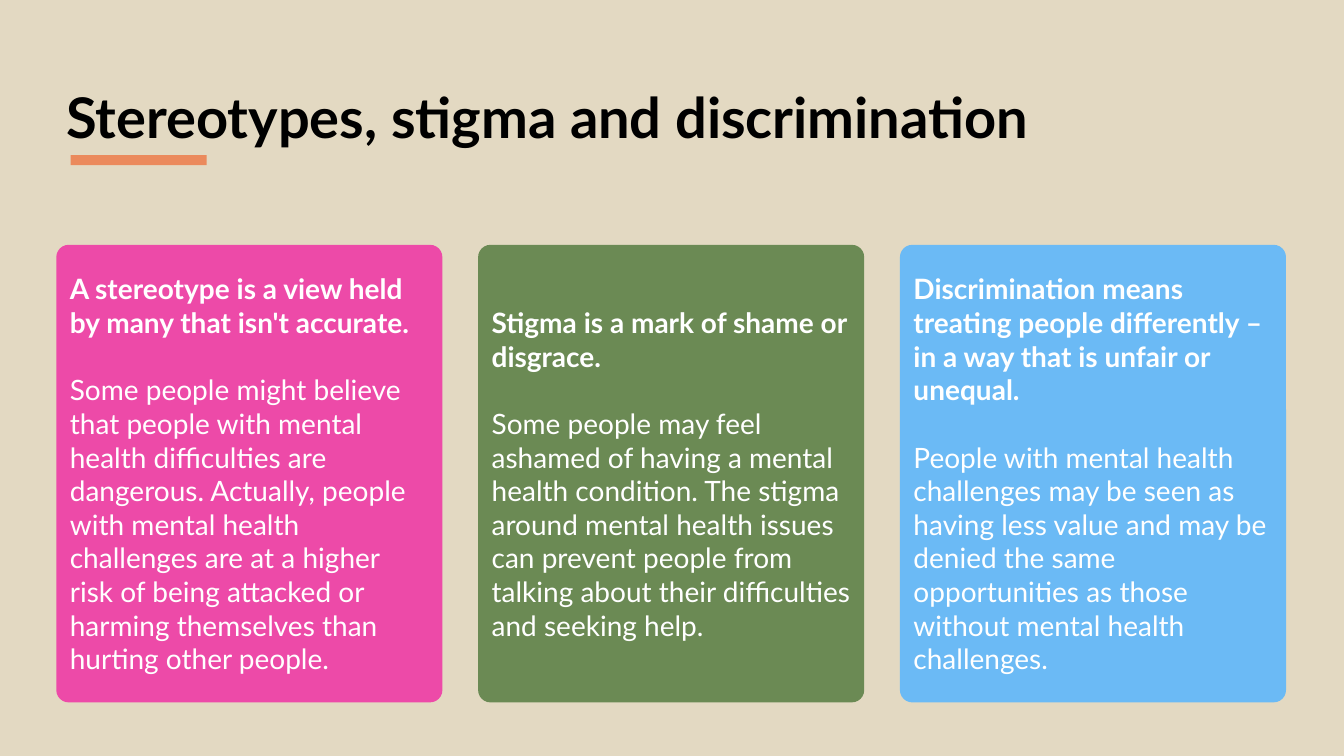
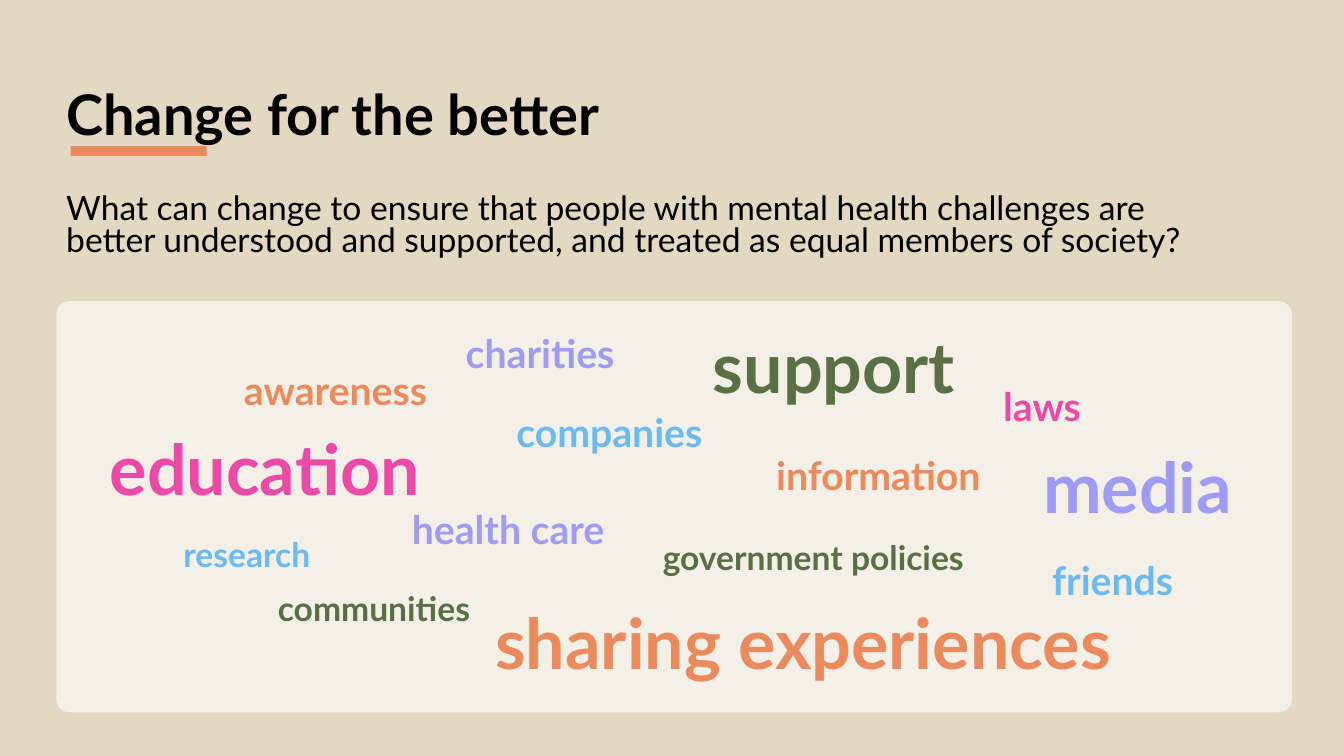
from dataclasses import dataclass

from pptx import Presentation
from pptx.dml.color import RGBColor
from pptx.enum.shapes import MSO_SHAPE
from pptx.enum.text import MSO_ANCHOR, MSO_AUTO_SIZE, PP_ALIGN
from pptx.oxml.xmlchemy import OxmlElement
from pptx.util import Cm, Pt


@dataclass(frozen=True)
class Theme:
    font: str = "Lato"
    sand: str = "E3D9C2"
    black: str = "000000"
    white: str = "FFFFFF"
    orange: str = "EB8A5C"
    pink: str = "ED4AA8"
    green: str = "6B8A54"
    forest: str = "597045"
    blue: str = "6BBAF5"
    lilac: str = "9E9CF5"
    title: int = 40
    card: int = 20
    body: int = 24
    small: int = 24
    medium: int = 28
    large: int = 50


theme = Theme()


def write(frame, text, *, size, color, bold=False, align=PP_ALIGN.LEFT,
          anchor=MSO_ANCHOR.TOP, spacing=1.0, before=0):
    frame.word_wrap = True
    frame.auto_size = MSO_AUTO_SIZE.NONE
    frame.vertical_anchor = anchor
    paragraph = frame.add_paragraph() if frame.text else frame.paragraphs[0]
    paragraph.alignment = align
    paragraph.line_spacing = spacing
    paragraph.space_before = Pt(before)
    run = paragraph.add_run()
    run.text = text
    run.font.name = theme.font
    run.font.size = Pt(size)
    run.font.bold = bold
    run.font.color.rgb = RGBColor.from_string(color)


def add_block(slide, kind, left, top, width, height, color):
    block = slide.shapes.add_shape(kind, Cm(left), Cm(top), Cm(width), Cm(height))
    block.shadow.inherit = False
    block.fill.solid()
    block.fill.fore_color.rgb = RGBColor.from_string(color)
    block.line.fill.background()
    if kind == MSO_SHAPE.ROUNDED_RECTANGLE:
        block.adjustments[0] = 0.032
    return block


prs = Presentation()
prs.slide_width, prs.slide_height = Cm(33.87), Cm(19.05)
background = prs.slide_master.background.fill
background.solid()
background.fore_color.rgb = RGBColor.from_string(theme.sand)

margin = 1.42
headings = [
    ("Stereotypes, stigma and discrimination", 1.88, 2.29, 3.91),
    ("Change for the better", 1.93, 2.03, 3.68),
]
slides = []
for heading, top, height, underline_top in headings:
    slide = prs.slides.add_slide(prs.slide_layouts[5])
    title = slide.shapes.title
    title.left, title.top = Cm(margin), Cm(top)
    title.width, title.height = Cm(29.21), Cm(height)
    write(title.text_frame, heading, size=theme.title, color=theme.black,
          bold=True, anchor=MSO_ANCHOR.MIDDLE, spacing=0.9)
    add_block(slide, MSO_SHAPE.RECTANGLE, 1.78, underline_top, 3.43, 0.25, theme.orange)
    slides.append(slide)
definitions_slide, change_slide = slides

definitions = [
    (theme.pink, "A stereotype is a view held by many that isn't accurate.",
     "Some people might believe that people with mental health difficulties are "
     "dangerous. Actually, people with mental health challenges are at a higher risk "
     "of being attacked or harming themselves than hurting other people."),
    (theme.green, "Stigma is a mark of shame or disgrace.",
     "Some people may feel ashamed of having a mental health condition. The stigma "
     "around mental health issues can prevent people from talking about their "
     "difficulties and seeking help."),
    (theme.blue, "Discrimination means treating people differently – in a way that is "
     "unfair or unequal.",
     "People with mental health challenges may be seen as having less value and may be "
     "denied the same opportunities as those without mental health challenges."),
]
card_width, card_gap = 9.73, 0.9
for index, (color, meaning, example) in enumerate(definitions):
    card = add_block(definitions_slide, MSO_SHAPE.ROUNDED_RECTANGLE,
                     margin + index * (card_width + card_gap), 6.17,
                     card_width, 11.53, color)
    write(card.text_frame, meaning, size=theme.card, color=theme.white,
          bold=True, anchor=MSO_ANCHOR.MIDDLE)
    write(card.text_frame, example, size=theme.card, color=theme.white,
          anchor=MSO_ANCHOR.MIDDLE, before=24)

question = change_slide.shapes.add_textbox(Cm(margin), Cm(4.78), Cm(29.57), Cm(2.03))
write(question.text_frame,
      "What can change to ensure that people with mental health challenges are better "
      "understood and supported, and treated as equal members of society?",
      size=theme.body, color=theme.black, spacing=0.8)

cloud = add_block(change_slide, MSO_SHAPE.ROUNDED_RECTANGLE,
                  margin, 7.59, 31.14, 10.36, theme.white)
alpha = OxmlElement("a:alpha")
alpha.set("val", "62000")
cloud.fill._xPr.find(".//{*}solidFill/{*}srgbClr").append(alpha)

ideas = [
    ("education", 2.13, 10.85, 9.09, 1.63, theme.large, theme.pink),
    ("media", 25.6, 11.28, 6.15, 1.19, theme.large, theme.lilac),
    ("charities", 11.02, 8.31, 5.18, 1.19, theme.medium, theme.lilac),
    ("support", 17.17, 8.28, 7.7, 1.19, theme.large, theme.forest),
    ("friends", 25.45, 14.02, 5.18, 1.19, theme.medium, theme.blue),
    ("laws", 23.67, 9.65, 5.18, 1.19, theme.medium, theme.pink),
    ("awareness", 5.56, 9.25, 5.79, 1.19, theme.medium, theme.orange),
    ("information", 19.25, 11.38, 5.77, 1.19, theme.medium, theme.orange),
    ("research", 3.63, 13.44, 5.18, 1.19, theme.small, theme.blue),
    ("communities", 6.63, 14.81, 5.59, 1.19, theme.small, theme.forest),
    ("companies", 12.47, 10.29, 5.77, 1.19, theme.medium, theme.blue),
    ("government policies", 16.33, 13.51, 8.33, 1.37, theme.small, theme.forest),
    ("health care", 9.63, 12.75, 6.35, 1.19, theme.medium, theme.lilac),
    ("sharing experiences", 11.81, 15.21, 16.87, 1.6, theme.large, theme.orange),
]
for idea, left, top, width, height, size, color in ideas:
    word = change_slide.shapes.add_textbox(Cm(left), Cm(top), Cm(width), Cm(height))
    write(word.text_frame, idea, size=size, color=color, bold=True,
          align=PP_ALIGN.CENTER, spacing=0.9)

prs.save("out.pptx")
